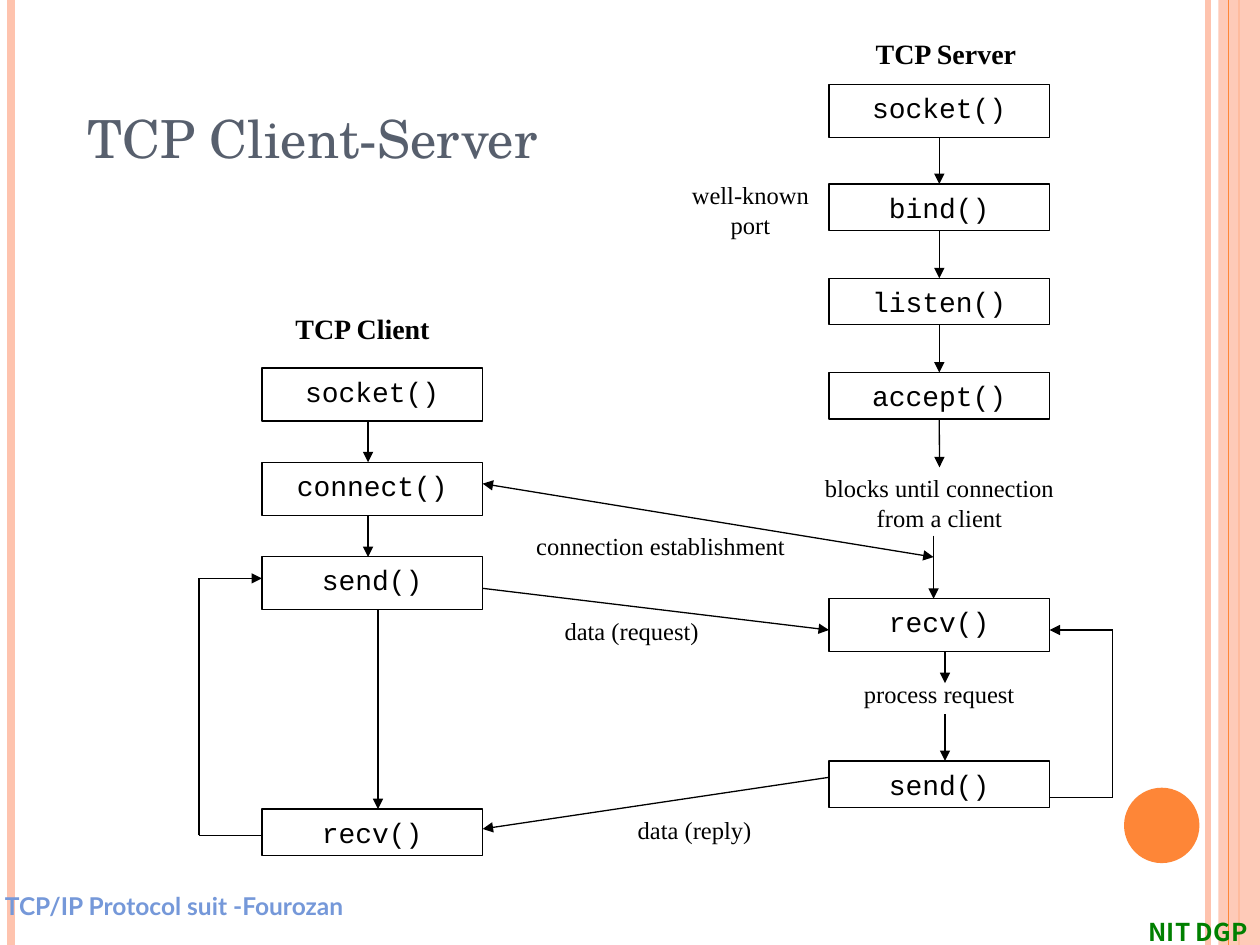
from dataclasses import dataclass
from itertools import pairwise
from typing import NamedTuple, Optional

from lxml import etree
from pptx import Presentation
from pptx import util as u
from pptx.dml.color import RGBColor
from pptx.enum import shapes, text
from pptx.oxml.ns import qn


@dataclass(frozen=True)
class Theme:
    ink: str = "000000"
    paper: str = "FFFFFF"
    title: str = "575F6D"
    accent: str = "FE8637"
    pale: str = "FEC3AE"
    source: str = "7598D9"
    school: str = "008000"
    title_font: str = "TeX Gyre Schola"
    code_font: str = "Courier New"
    label_font: str = "Times New Roman"
    title_size: float = 30
    large: float = 16
    small: float = 14
    thin: float = 0.75


class Call(NamedTuple):
    name: str
    top: float
    height: float


class Label(NamedTuple):
    wording: str
    left: float
    top: float
    width: float
    height: float
    heading: bool = False


class Route(NamedTuple):
    points: list
    both_ends: bool = False
    arrow: bool = True


THEME = Theme()
SLIDE_WIDTH, SLIDE_HEIGHT = 25.4, 19.05
CALL_WIDTH, TALL, LOW = 4.45, 1.07, 0.94
CLIENT_LEFT, SERVER_LEFT = 5.28, 16.71
CLIENT_RIGHT, SERVER_RIGHT = CLIENT_LEFT + CALL_WIDTH, SERVER_LEFT + CALL_WIDTH
SETUP_TOP, CLIENT_TOP, STEP = 3.71, 7.42, 1.9

CLIENT_CALLS = [Call(name, CLIENT_TOP + i * STEP, TALL)
                for i, name in enumerate(["socket()", "connect()", "send()"])]
CLIENT_CALLS.append(Call("recv()", 16.31, LOW))
SETUP_CALLS = [Call("socket()", 1.7, TALL)]
SETUP_CALLS += [Call(name, SETUP_TOP + i * STEP, LOW)
                for i, name in enumerate(["bind()", "listen()", "accept()"])]
SERVICE_CALLS = [Call("recv()", 12.07, TALL), Call("send()", 15.34, LOW)]

WAITING = Label("blocks until connection from a client", 16.08, 9.42, 5.72, 1.57)
LABELS = [
    Label("TCP Server", 16.21, 0.61, 5.72, 0.97, heading=True),
    Label("TCP Client", 4.45, 6.15, 5.72, 0.97, heading=True),
    Label("well-known port", 13.54, 3.51, 3.18, 1.57),
    Label("connection establishment", 10.36, 10.59, 5.92, 1.07),
    Label("data (request)", 10.36, 12.29, 4.75, LOW),
    Label("process request", SERVER_LEFT, 13.56, CALL_WIDTH, LOW),
    Label("data (reply)", 11.63, 16.31, 4.75, LOW),
]

ROUTES = [
    # Steps down the client and the serving part of the server
    Route([(7.42, 8.48), (7.42, 9.32)]),
    Route([(7.42, 10.39), (7.42, 11.23)]),
    Route([(7.62, 12.29), (7.62, 16.31)]),
    Route([(18.82, 10.8), (18.82, 12.07)]),
    Route([(19.05, 13.13), (19.05, 13.77)]),
    Route([(19.05, 14.4), (19.05, 15.34)]),
    # Messages between client and server
    Route([(CLIENT_RIGHT, 9.75), (18.82, 11.23)], both_ends=True),
    Route([(CLIENT_RIGHT, 11.86), (SERVER_LEFT, 12.7)]),
    Route([(SERVER_LEFT, 15.67), (CLIENT_RIGHT, 16.71)]),
    # Loops back to the start of each exchange
    Route([(CLIENT_LEFT, 16.84), (4.01, 16.84), (4.01, 11.66), (CLIENT_LEFT, 11.66)]),
    Route([(SERVER_RIGHT, 16.08), (22.43, 16.08), (22.43, 12.7), (SERVER_RIGHT, 12.7)]),
]


def write(shape, wording: str, *, size: float, font: str, color: str,
          bold: bool = False, align=text.PP_ALIGN.CENTER,
          anchor=text.MSO_ANCHOR.TOP) -> None:
    frame = shape.text_frame
    frame.word_wrap = True
    frame.auto_size = text.MSO_AUTO_SIZE.NONE
    frame.vertical_anchor = anchor
    paragraph = frame.paragraphs[0]
    paragraph.alignment = align
    run = paragraph.add_run()
    run.text = wording
    run.font.size, run.font.name, run.font.bold = u.Pt(size), font, bold
    run.font.color.rgb = RGBColor.from_string(color)


def add_block(slide, kind, left: float, top: float, width: float, height: float,
              fill: str, line: Optional[str] = None):
    shape = slide.shapes.add_shape(kind, *map(u.Cm, (left, top, width, height)))
    shape.shadow.inherit = False
    shape.fill.solid()
    shape.fill.fore_color.rgb = RGBColor.from_string(fill)
    if line:
        shape.line.color.rgb = RGBColor.from_string(line)
        shape.line.width = u.Pt(THEME.thin)
    else:
        shape.line.fill.background()
    return shape


def add_line(slide, start, end, color: str = THEME.ink, width: float = THEME.thin,
             head: bool = False, tail: bool = False):
    connector = slide.shapes.add_connector(
        shapes.MSO_CONNECTOR.STRAIGHT, *map(u.Cm, (*start, *end)))
    connector.line.color.rgb = RGBColor.from_string(color)
    connector.line.width = u.Pt(width)
    outline = connector.line._get_or_add_ln()
    for tag, wanted in (("a:headEnd", head), ("a:tailEnd", tail)):
        if wanted:
            etree.SubElement(outline, qn(tag)).set("type", "triangle")
    etree.SubElement(connector._element.spPr, qn("a:effectLst"))
    return connector


def add_label(slide, label: Label):
    shape = add_block(slide, shapes.MSO_SHAPE.RECTANGLE, label.left, label.top,
                      label.width, label.height, THEME.paper)
    write(shape, label.wording, size=THEME.large if label.heading else THEME.small,
          font=THEME.label_font, color=THEME.ink, bold=label.heading)
    return shape


def add_call(slide, call: Call, left: float):
    shape = add_block(slide, shapes.MSO_SHAPE.RECTANGLE, left, call.top,
                      CALL_WIDTH, call.height, THEME.paper, THEME.ink)
    write(shape, call.name, size=THEME.large, font=THEME.code_font, color=THEME.ink)
    return shape


def add_route(slide, route: Route) -> None:
    legs = list(pairwise(route.points))
    for i, (start, end) in enumerate(legs):
        add_line(slide, start, end, head=route.both_ends,
                 tail=route.arrow and i == len(legs) - 1)


def add_decoration(slide) -> None:
    def stripe(x: float, color: str, width: float) -> None:
        add_line(slide, (x, 0), (x, SLIDE_HEIGHT), color, width)

    stripe(24.35, THEME.pale, 3)
    stripe(0.22, THEME.pale, 4.5)
    stripe(24.98, THEME.accent, 1.5)
    band = add_block(slide, shapes.MSO_SHAPE.RECTANGLE, 24.56, 0, 0.84,
                     SLIDE_HEIGHT, THEME.pale)
    color = band._element.spPr.find(qn("a:solidFill"))[0]
    etree.SubElement(color, qn("a:alpha")).set("val", "87000")
    stripe(24.77, THEME.accent, THEME.thin)
    add_block(slide, shapes.MSO_SHAPE.OVAL, 22.66, 15.88, 1.52, 1.52, THEME.accent)


def add_footer(slide, wording: str, left: float, top: float, width: float, **style) -> None:
    box = slide.shapes.add_textbox(*map(u.Cm, (left, top, width, 0.86)))
    write(box, wording, size=THEME.small, bold=True, **style)


def main() -> None:
    presentation = Presentation()
    presentation.slide_width, presentation.slide_height = u.Cm(SLIDE_WIDTH), u.Cm(SLIDE_HEIGHT)
    slide = presentation.slides.add_slide(presentation.slide_layouts[5])

    # Background, title and footers
    add_decoration(slide)
    title = slide.shapes.title
    title.left, title.top, title.width, title.height = map(u.Cm, (1.5, 0.53, 15.65, 3))
    write(title, "TCP Client-Server", size=THEME.title_size, font=THEME.title_font,
          color=THEME.title, align=text.PP_ALIGN.LEFT, anchor=text.MSO_ANCHOR.BOTTOM)
    add_footer(slide, "TCP/IP Protocol suit -Fourozan", -0.15, 17.83, 8.46,
               font="Lato", color=THEME.source, align=text.PP_ALIGN.LEFT)
    add_footer(slide, "NIT DGP", 18.42, 18.36, 6.98, font="Noto Sans CJK KR",
               color=THEME.school, align=text.PP_ALIGN.RIGHT)

    # Labels and calls
    for label in LABELS:
        add_label(slide, label)
    waiting = add_label(slide, WAITING)
    for call in CLIENT_CALLS:
        add_call(slide, call, CLIENT_LEFT)
    for call in SERVICE_CALLS:
        add_call(slide, call, SERVER_LEFT)
    setup = [add_call(slide, call, SERVER_LEFT) for call in SETUP_CALLS]

    # Arrows, with the server setup chain joined box to box
    for upper, lower in pairwise([*setup, waiting]):
        connector = add_line(slide, (0, 0), (0, 0), tail=True)
        connector.begin_connect(upper, 2)
        connector.end_connect(lower, 0)
    for route in ROUTES:
        add_route(slide, route)

    presentation.save("out.pptx")


if __name__ == "__main__":
    main()
